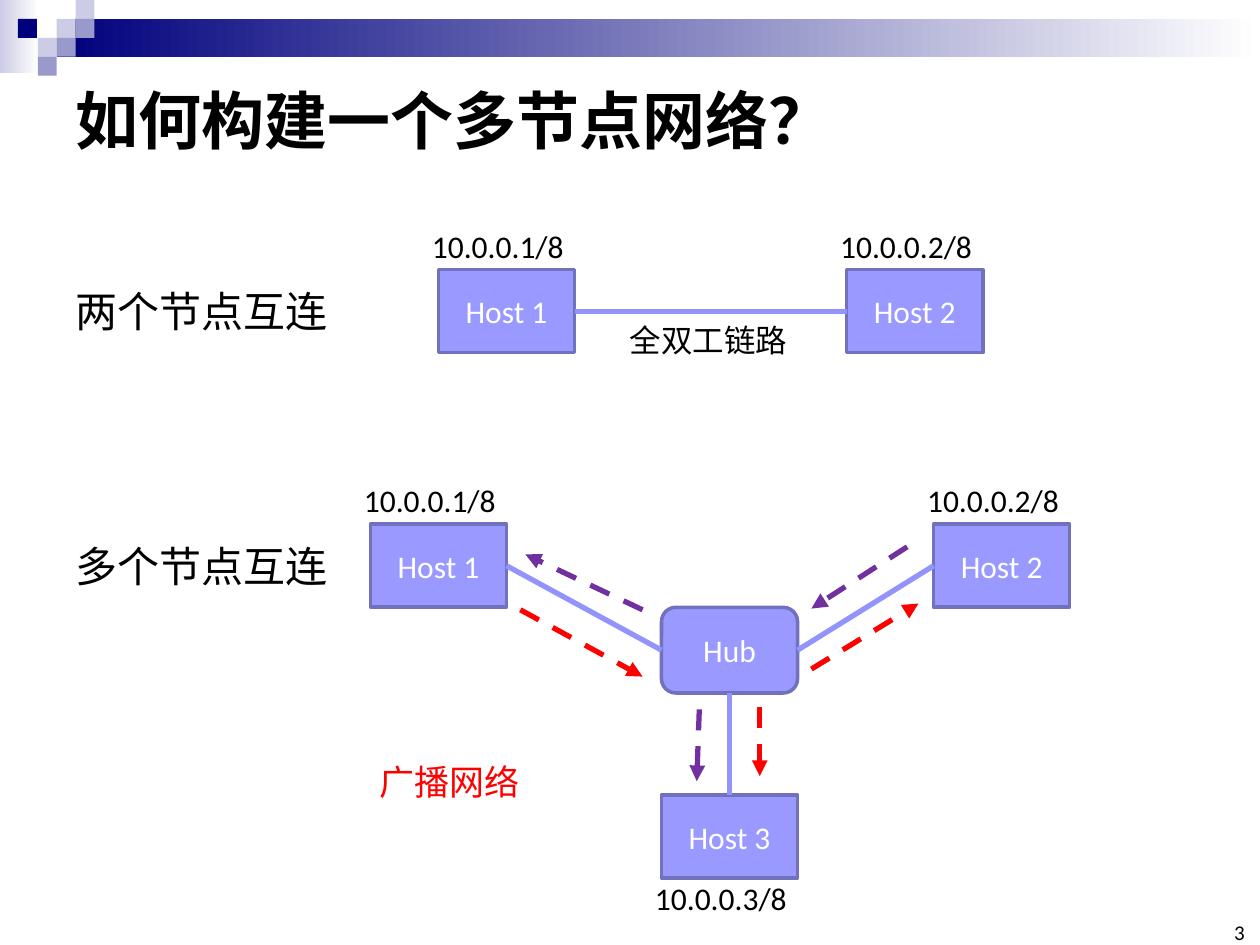
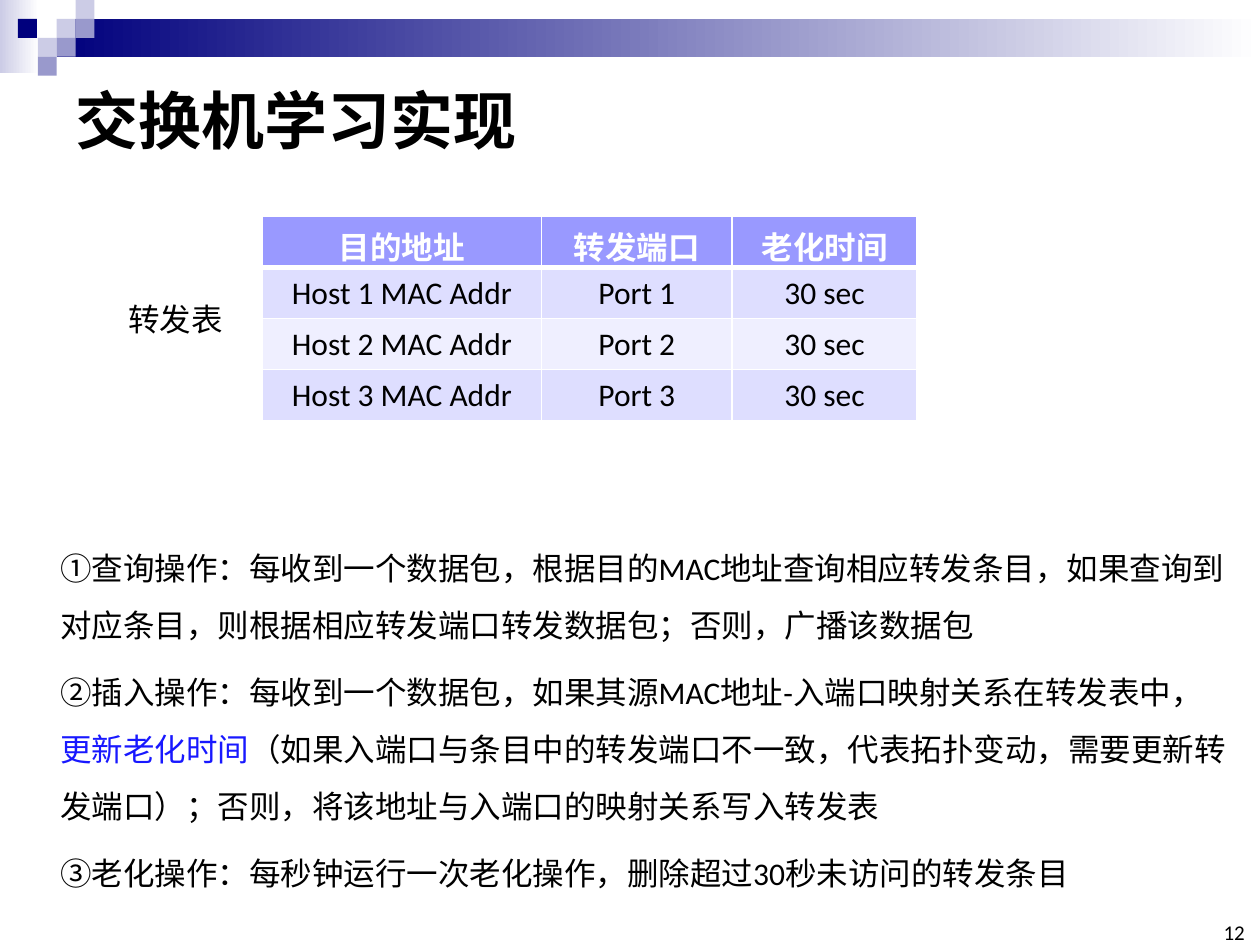
from lxml.etree import SubElement
from pptx import Presentation
from pptx.dml.color import RGBColor
from pptx.enum.dml import MSO_LINE as Dash
from pptx.enum.shapes import MSO_CONNECTOR as Link, MSO_SHAPE as Shape
from pptx.enum.text import MSO_ANCHOR as Anchor, PP_ALIGN as Align
from pptx.oxml.ns import qn
from pptx.util import Inches, Pt

WIDTH, HEIGHT = 10, 7.5
FONT = "Calibri"
COLORS = {
    "black": "000000", "white": "FFFFFF", "red": "FF0000", "purple": "7030A0",
    "blue": "1818FF", "navy": "00007D", "pale": "CCCCE6", "mid": "9999CC",
    "node": "9999FF", "edge": "7171BD", "link": "9393FC",
    "row_dark": "DEDEFF", "row_light": "EFEFFF",
}

# Header decoration: gradient bands, then squares as (column, row, colour)
BANDS = [(0, 0, 0.31, 0.58, "pale"), (0.45, 0.15, 9.55, 0.3, "navy")]
SQUARE = 0.15
SQUARES = [
    (3, 1, "pale"), (4, 0, "pale"), (4, 1, "mid"), (2, 2, "pale"),
    (0.95, 1, "navy"), (3, 2, "mid"), (2, 3, "mid"),
]

# Network diagrams: hosts as name: (left, top, address, address offset)
NODE_W, NODE_H, HUB_H = 1.08, 0.66, 0.68
ABOVE, BELOW = -0.39, 0.62
PAIR = {
    "Host 1": (3.48, 2.14, "10.0.0.1/8", ABOVE),
    "Host 2": (6.72, 2.14, "10.0.0.2/8", ABOVE),
}
STAR = {
    "Host 1": (2.94, 4.16, "10.0.0.1/8", ABOVE),
    "Host 2": (7.41, 4.16, "10.0.0.2/8", ABOVE),
    "Host 3": (5.25, 6.31, "10.0.0.3/8", BELOW),
}
HUB = (5.25, 4.82)
TOP, LEFT, BOTTOM, RIGHT = range(4)
SPOKES = [("Host 1", RIGHT, LEFT), ("Host 2", LEFT, RIGHT), ("Host 3", TOP, BOTTOM)]
FLOWS = {
    "red": [(4.13, 4.84, 5.1, 5.37), (6.44, 5.31, 7.29, 4.79), (6.03, 5.61, 6.03, 6.16)],
    "purple": [(7.2, 4.34, 6.44, 4.83), (5.55, 5.63, 5.53, 6.2), (5.1, 4.84, 4.17, 4.4)],
}
LABELS = [
    ("两个节点互连", (0.5, 2.22, 2.22, 0.5), {"size": 24}),
    ("多个节点互连", (0.5, 4.24, 2.22, 0.5), {"size": 24}),
    ("广播网络", (2.91, 5.99, 1.32, 0.44), {"size": 20, "color": "red"}),
    ("全双工链路", (4.66, 2.5, 1.93, 0.4), {"align": Align.CENTER, "wrap": True}),
]

# Forwarding table and the operations on it
COLUMNS = [2.22, 1.51, 1.47]
ROW_H = 0.405
ROWS = [("目的地址", "转发端口", "老化时间")] + [
    (f"Host {n} MAC Addr", f"Port {n}", "30 sec") for n in (1, 2, 3)
]
OPERATIONS = [
    ["①查询操作：每收到一个数据包，根据目的MAC地址查询相应转发条目，如果查询到对应条目，"
     "则根据相应转发端口转发数据包；否则，广播该数据包"],
    ["②插入操作：每收到一个数据包，如果其源MAC地址-入端口映射关系在转发表中，",
     ("更新老化时间", "blue"),
     "（如果入端口与条目中的转发端口不一致，代表拓扑变动，需要更新转发端口）；"
     "否则，将该地址与入端口的映射关系写入转发表"],
    ["③老化操作：每秒钟运行一次老化操作，删除超过30秒未访问的转发条目"],
]


def rgb(name):
    """Return the named colour."""
    return RGBColor.from_string(COLORS[name])


def inches(*values):
    """Convert numbers to lengths in inches."""
    return [Inches(value) for value in values]


def write(frame, paragraphs, size=18, color="black", bold=False, align=Align.LEFT,
          anchor=Anchor.TOP, wrap=False, margin=None, spacing=None, before=None):
    """Fill a text frame; a span is a string or a (string, colour) pair."""
    if isinstance(paragraphs, str):
        paragraphs = [[paragraphs]]
    frame.word_wrap = wrap
    frame.vertical_anchor = anchor
    if margin is not None:
        frame.margin_left = frame.margin_right = Inches(margin)
        frame.margin_top = frame.margin_bottom = Inches(margin)
    for index, spans in enumerate(paragraphs):
        para = frame.add_paragraph() if index else frame.paragraphs[0]
        para.alignment = align
        para.line_spacing = spacing
        if before is not None:
            para.space_before = Pt(before)
        for item in spans:
            words, tint = (item, color) if isinstance(item, str) else item
            span = para.add_run()
            span.text = words
            span.font.name, span.font.size, span.font.bold = FONT, Pt(size), bold
            span.font.color.rgb = rgb(tint)


def add_text(page, paragraphs, place, **style):
    """Add a text box at (left, top, width, height)."""
    write(page.shapes.add_textbox(*inches(*place)).text_frame, paragraphs, **style)


def add_block(page, place, fill, fade=False, edge=None, kind=Shape.RECTANGLE):
    """Add a shape with a solid fill or a fade to white."""
    block = page.shapes.add_shape(kind, *inches(*place))
    block.shadow.inherit = False
    if fade:
        block.fill.gradient()
        block.fill.gradient_angle = 0
        for stop, name, position in zip(block.fill.gradient_stops, (fill, "white"), (0, 1)):
            stop.color.rgb, stop.position = rgb(name), position
    else:
        block.fill.solid()
        block.fill.fore_color.rgb = rgb(fill)
    if edge:
        block.line.color.rgb, block.line.width = rgb(edge), Pt(2)
    else:
        block.line.fill.background()
    return block


def add_node(page, name, left, top, height=NODE_H, kind=Shape.RECTANGLE):
    """Add a named network node."""
    node = add_block(page, (left, top, NODE_W, height), "node", edge="edge", kind=kind)
    write(node.text_frame, name, color="white", align=Align.CENTER,
          anchor=Anchor.MIDDLE, wrap=True)
    return node


def add_hosts(page, hosts):
    """Add hosts with their addresses and return the shapes by name."""
    nodes = {}
    for name, (left, top, address, offset) in hosts.items():
        nodes[name] = add_node(page, name, left, top)
        add_text(page, address, (left - 0.15, top + offset, 1.26, 0.4))
    return nodes


def add_line(page, color, ends=(0, 0, 0, 0)):
    """Add a straight line without a shadow."""
    line = page.shapes.add_connector(Link.STRAIGHT, *inches(*ends))
    line.line.color.rgb, line.line.width = rgb(color), Pt(3)
    SubElement(line._element.spPr, qn("a:effectLst"))
    return line


def join(page, start, start_side, end, end_side):
    """Link two nodes, glued to the given sides."""
    line = add_line(page, "link")
    line.begin_connect(start, start_side)
    line.end_connect(end, end_side)


def add_flow(page, color, ends):
    """Add a dashed arrow."""
    line = add_line(page, color, ends)
    line.line.dash_style = Dash.DASH
    SubElement(line.line._get_or_add_ln(), qn("a:tailEnd"), type="triangle")


def add_page(deck, title, number):
    """Add a page with the shared header, title and number."""
    page = deck.slides.add_slide(deck.slide_layouts[6])
    for *place, color in BANDS:
        add_block(page, place, color, fade=True)
    for column, row, color in SQUARES:
        add_block(page, (column * SQUARE, row * SQUARE, SQUARE, SQUARE), color)
    add_text(page, title, (0.5, 0.5, 0.9 * WIDTH, 0.89), size=36, bold=True,
             anchor=Anchor.MIDDLE, wrap=True)
    add_text(page, str(number), (9.65, 7.33, 0.23, 0.17), size=12, align=Align.RIGHT,
             anchor=Anchor.BOTTOM, wrap=True, margin=0)
    return page


def add_border(cell, side, points):
    """Draw a white border on one side of a cell."""
    line = SubElement(cell._tc.get_or_add_tcPr(), qn(f"a:ln{side}"), w=str(Pt(points)))
    fill = SubElement(line, qn("a:solidFill"))
    SubElement(fill, qn("a:srgbClr"), val=COLORS["white"])


def add_forwarding_table(page, left, top):
    """Add the table with a header and banded rows."""
    place = inches(left, top, sum(COLUMNS), ROW_H * len(ROWS))
    table = page.shapes.add_table(len(ROWS), len(COLUMNS), *place).table
    for column, width in zip(table.columns, COLUMNS):
        column.width = Inches(width)
    for r, texts in enumerate(ROWS):
        table.rows[r].height = Inches(ROW_H)
        header = r == 0
        fill = "node" if header else ("row_light", "row_dark")[r % 2]
        for c, words in enumerate(texts):
            cell = table.cell(r, c)
            write(cell.text_frame, words, color="white" if header else "black",
                  bold=header, align=Align.CENTER, wrap=True)
            for side in "LRTB":
                thick = (header and side == "B") or (r == 1 and side == "T")
                add_border(cell, side, 3 if thick else 1)
            cell.fill.solid()
            cell.fill.fore_color.rgb = rgb(fill)


def build_network(deck):
    """Build the page on joining two and more nodes."""
    page = add_page(deck, "如何构建一个多节点网络？", 3)
    pair = add_hosts(page, PAIR)
    join(page, pair["Host 2"], LEFT, pair["Host 1"], RIGHT)
    star = add_hosts(page, STAR)
    hub = add_node(page, "Hub", *HUB, height=HUB_H, kind=Shape.ROUNDED_RECTANGLE)
    for name, host_side, hub_side in SPOKES:
        join(page, star[name], host_side, hub, hub_side)
    for color, arrows in FLOWS.items():
        for ends in arrows:
            add_flow(page, color, ends)
    for words, place, style in LABELS:
        add_text(page, words, place, **style)


def build_learning(deck):
    """Build the page on how a switch learns."""
    page = add_page(deck, "交换机学习实现", 12)
    add_forwarding_table(page, 2.08, 1.72)
    add_text(page, "转发表", (0.92, 2.33, 0.96, 0.4))
    add_text(page, OPERATIONS, (0.38, 4.16, 0.95 * WIDTH, 2.94), wrap=True,
             spacing=1.5, before=6)


deck = Presentation()
deck.slide_width, deck.slide_height = inches(WIDTH, HEIGHT)
build_network(deck)
build_learning(deck)
deck.save("out.pptx")
